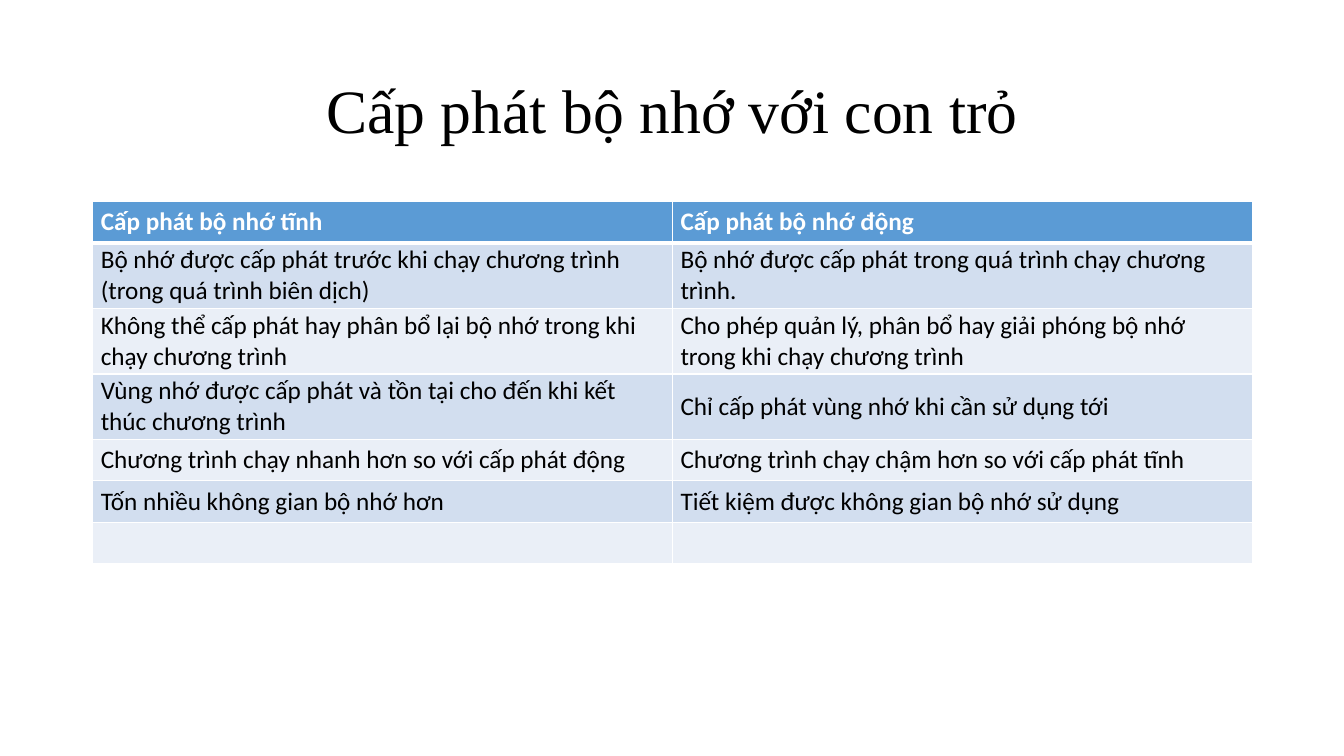
"""Build a slide comparing static and dynamic memory allocation."""
from lxml import etree
from pptx import Presentation
from pptx import util as u
from pptx.dml.color import RGBColor
from pptx.enum import text
from pptx.oxml import ns

COLORS = {
    "header": "5B9BD5",
    "odd": "D2DEEF",
    "even": "EAEFF7",
    "dark": "000000",
    "light": "FFFFFF",
}
WIDTH, HEIGHT = u.Inches(13.33), u.Inches(7.5)
MARGIN = u.Inches(0.92)
CONTENT_WIDTH = u.Inches(11.5)
ROW_HEIGHT = u.Inches(0.41)
TITLE = "Cấp phát bộ nhớ với con trỏ"
ROWS = [
    ("Cấp phát bộ nhớ tĩnh", "Cấp phát bộ nhớ động"),
    ("Bộ nhớ được cấp phát trước khi chạy chương trình (trong quá trình biên dịch)",
     "Bộ nhớ được cấp phát trong quá trình chạy chương trình."),
    ("Không thể cấp phát hay phân bổ lại bộ nhớ trong khi chạy chương trình",
     "Cho phép quản lý, phân bổ hay giải phóng bộ nhớ trong khi chạy chương trình"),
    ("Vùng nhớ được cấp phát và tồn tại cho đến khi kết thúc chương trình",
     "Chỉ cấp phát vùng nhớ khi cần sử dụng tới"),
    ("Chương trình chạy nhanh hơn so với cấp phát động",
     "Chương trình chạy chậm hơn so với cấp phát tĩnh"),
    ("Tốn nhiều không gian bộ nhớ hơn", "Tiết kiệm được không gian bộ nhớ sử dụng"),
    ("", ""),
]


def add_run(paragraph, words, font_name, size, color, bold=False):
    """Append one formatted run to a paragraph."""
    run = paragraph.add_run()
    run.text = words
    run.font.name = font_name
    run.font.size = u.Pt(size)
    run.font.bold = bold
    run.font.color.rgb = RGBColor.from_string(COLORS[color])


def add_title(slide):
    """Place and fill the title placeholder."""
    title = slide.shapes.title
    title.left, title.top = MARGIN, u.Inches(0.4)
    title.width, title.height = CONTENT_WIDTH, u.Inches(1.45)
    title.text_frame.vertical_anchor = text.MSO_ANCHOR.MIDDLE
    paragraph = title.text_frame.paragraphs[0]
    paragraph.alignment = text.PP_ALIGN.CENTER
    paragraph.line_spacing = 0.9
    add_run(paragraph, TITLE, "Times New Roman", 44, "dark")


def set_borders(cell, top, bottom):
    """Draw white borders, with top and bottom widths in points."""
    properties = cell._tc.get_or_add_tcPr()
    for side, width in (("L", 1), ("R", 1), ("T", top), ("B", bottom)):
        line = etree.SubElement(properties, ns.qn(f"a:ln{side}"), w=str(u.Pt(width)))
        fill = etree.SubElement(line, ns.qn("a:solidFill"))
        etree.SubElement(fill, ns.qn("a:srgbClr"), val=COLORS["light"])


def format_cell(cell, words, row):
    """Style a cell according to its row and write its words."""
    set_borders(cell, top=3 if row == 1 else 1, bottom=3 if row == 0 else 1)
    band = "header" if row == 0 else "odd" if row % 2 else "even"
    cell.fill.solid()
    cell.fill.fore_color.rgb = RGBColor.from_string(COLORS[band])
    cell.vertical_anchor = text.MSO_ANCHOR.MIDDLE
    cell.margin_left = cell.margin_right = u.Inches(0.08)
    cell.margin_top = cell.margin_bottom = u.Inches(0.02)
    if words:
        color = "light" if row == 0 else "dark"
        add_run(cell.text_frame.paragraphs[0], words, "Calibri", 18, color, row == 0)


def add_comparison(slide):
    """Add the two-column comparison table."""
    frame = slide.shapes.add_table(len(ROWS), len(ROWS[0]), MARGIN, u.Inches(2),
                                   CONTENT_WIDTH, ROW_HEIGHT * len(ROWS))
    for row, entries in enumerate(ROWS):
        for column, words in enumerate(entries):
            format_cell(frame.table.cell(row, column), words, row)


def main():
    """Create and save the presentation."""
    presentation = Presentation()
    presentation.slide_width, presentation.slide_height = WIDTH, HEIGHT
    slide = presentation.slides.add_slide(presentation.slide_layouts[5])
    add_title(slide)
    add_comparison(slide)
    presentation.save("out.pptx")


if __name__ == "__main__":
    main()
